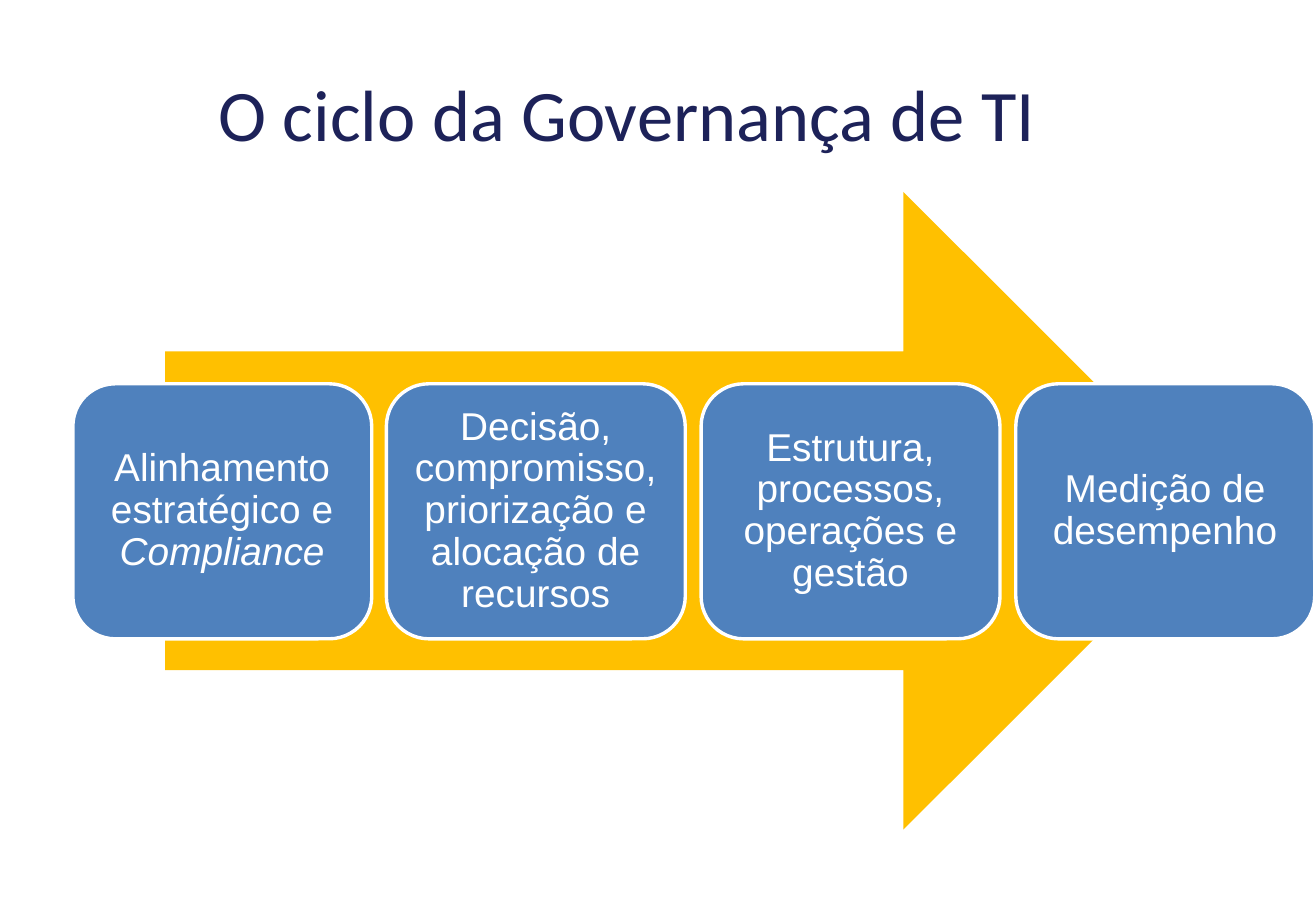
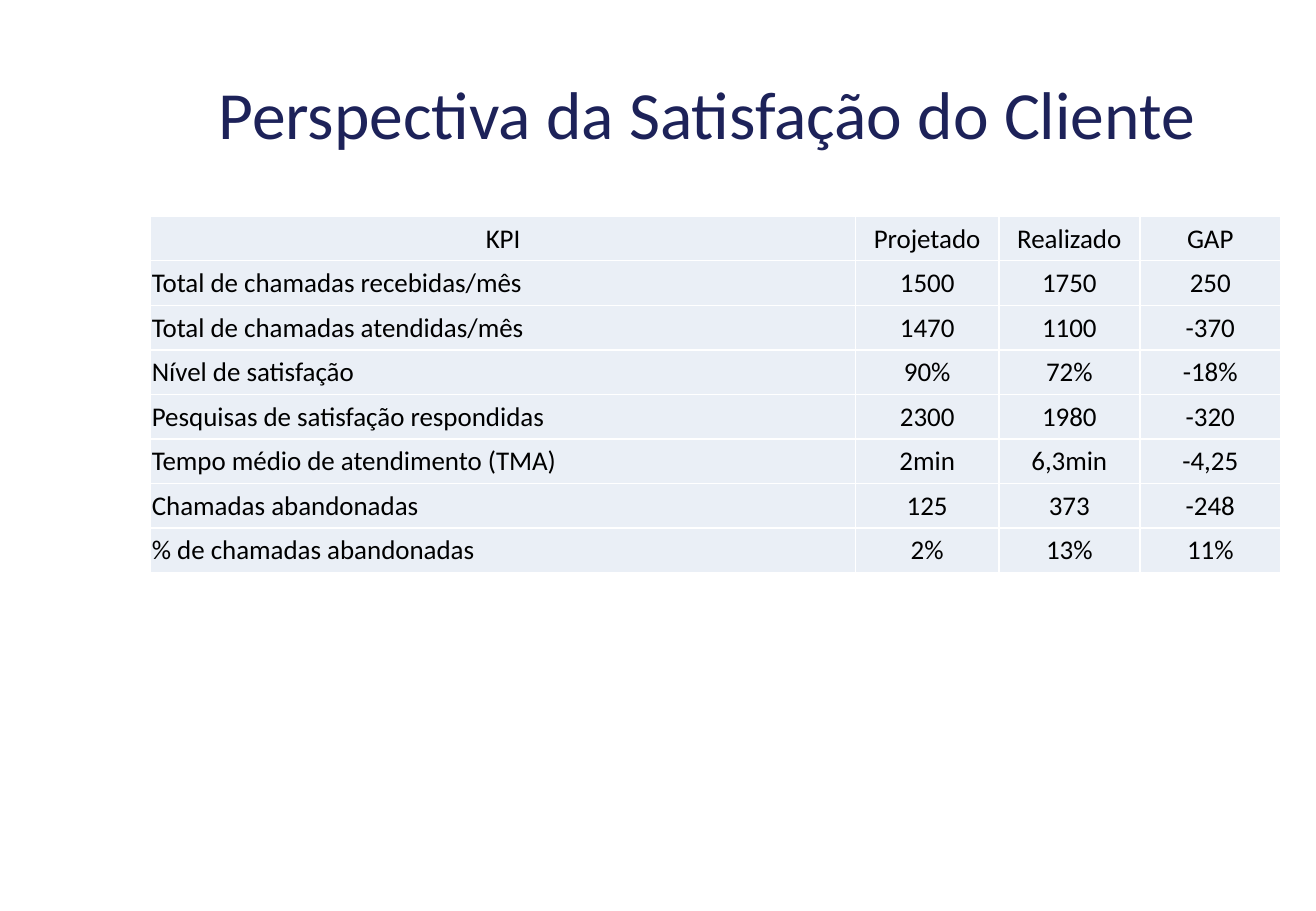
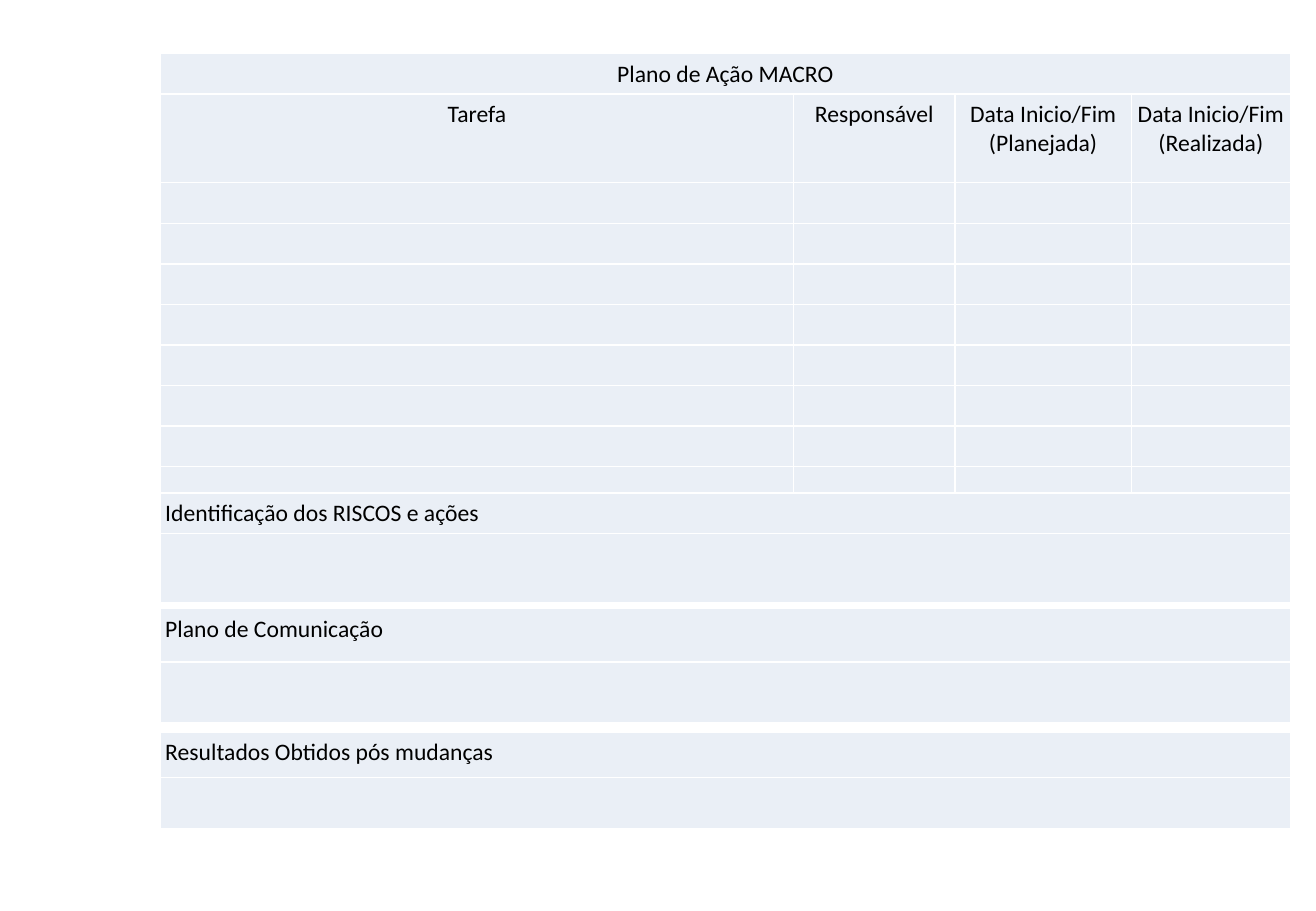
import pptx
import pptx.dml.color
import pptx.enum.shapes
import pptx.enum.text
import pptx.oxml
import pptx.oxml.ns
import pptx.util

PX = 9144  # EMU in one px, 100 px to the inch
NAVY, AMBER, BLUE = "1D2259", "FFC000", "4F81BD"
PALE, WHITE, BLACK = "EAEFF6", "FFFFFF", "000000"
BODY_FONT, BOX_FONT = "Calibri", "Arial"
BORDER_EMU = 12192
TABLE_WIDTH = 930

SHAPE = pptx.enum.shapes.MSO_SHAPE
ALIGN = pptx.enum.text.PP_ALIGN
MIDDLE = pptx.enum.text.MSO_ANCHOR.MIDDLE

STAGES = [
    [("Alinhamento estratégico e ", False), ("Compliance", True)],
    [("Decisão, compromisso, priorização e alocação de recursos", False)],
    [("Estrutura, processos, operações e gestão", False)],
    [("Medição de desempenho", False)],
]

KPIS = [
    ["KPI", "Projetado", "Realizado", "GAP"],
    ["Total de chamadas recebidas/mês", "1500", "1750", "250"],
    ["Total de chamadas atendidas/mês", "1470", "1100", "-370"],
    ["Nível de satisfação", "90%", "72%", "-18%"],
    ["Pesquisas de satisfação respondidas", "2300", "1980", "-320"],
    ["Tempo médio de atendimento (TMA)", "2min", "6,3min", "-4,25"],
    ["Chamadas abandonadas", "125", "373", "-248"],
    ["% de chamadas abandonadas", "2%", "13%", "11%"],
]

BLANK_TASKS = 8
ACTION_PLAN = [
    ["Plano de Ação MACRO", "", "", ""],
    ["Tarefa", "Responsável", "Data Inicio/Fim\n(Planejada)", "Data Inicio/Fim\n(Realizada)"],
] + [[""] * 4] * BLANK_TASKS

# heading, top, row heights
PLAN_SECTIONS = [
    ("Identificação dos RISCOS e ações", 406, [30, 57]),
    ("Plano de Comunicação", 501, [44, 50]),
    ("Resultados Obtidos pós mudanças", 603, [37, 42]),
]


def px(*lengths):
    return [pptx.util.Emu(length * PX) for length in lengths]


def rgb(color):
    return pptx.dml.color.RGBColor.from_string(color)


def add_run(paragraph, text, size, font, color, italic=False):
    run = paragraph.add_run()
    run.text = text
    run.font.size = pptx.util.Pt(size)
    run.font.name = font
    run.font.italic = italic
    run.font.color.rgb = rgb(color)


def set_insets(frame, side, vertical):
    frame.margin_left = frame.margin_right = px(side)[0]
    frame.margin_top = frame.margin_bottom = px(vertical)[0]


def add_title(slide, text, size):
    frame = slide.shapes.add_textbox(*px(170, 30, 888, 125)).text_frame
    frame.word_wrap = True
    frame.vertical_anchor = MIDDLE
    set_insets(frame, 10, 5)
    add_run(frame.paragraphs[0], text, size, BODY_FONT, NAVY)


def add_filled_shape(slide, preset, box, fill, outline=None):
    shape = slide.shapes.add_shape(preset, *px(*box))
    shape.shadow.inherit = False
    shape.fill.solid()
    shape.fill.fore_color.rgb = rgb(fill)
    if outline:
        shape.line.color.rgb = rgb(outline)
        shape.line.width = pptx.util.Pt(2)
    else:
        shape.line.fill.background()
    return shape


def add_stage(slide, left, pieces):
    box = add_filled_shape(slide, SHAPE.ROUNDED_RECTANGLE, (left, 316, 246, 210), BLUE, WHITE)
    frame = box.text_frame
    frame.word_wrap = True
    frame.vertical_anchor = MIDDLE
    set_insets(frame, 10, 10)
    paragraph = frame.paragraphs[0]
    paragraph.alignment = ALIGN.CENTER
    paragraph.line_spacing = 0.9
    for text, italic in pieces:
        add_run(paragraph, text, 23, BOX_FONT, WHITE, italic)


def paint_cell(cell):
    """Give a cell white borders on all sides and the pale fill."""
    properties = cell._tc.get_or_add_tcPr()
    for side in ("lnL", "lnR", "lnT", "lnB"):
        properties.append(pptx.oxml.parse_xml(
            f'<a:{side} {pptx.oxml.ns.nsdecls("a")} w="{BORDER_EMU}">'
            f'<a:solidFill><a:srgbClr val="{WHITE}"/></a:solidFill></a:{side}>'))
    cell.fill.solid()
    cell.fill.fore_color.rgb = rgb(PALE)


def write_cell(cell, text, size, alignment, side_inset):
    set_insets(cell, side_inset, 5)
    frame = cell.text_frame
    for number, line in enumerate(text.split("\n")):
        paragraph = frame.add_paragraph() if number else frame.paragraphs[0]
        paragraph.alignment = alignment
        if line:
            add_run(paragraph, line, size, BODY_FONT, BLACK)
        else:
            paragraph._p.get_or_add_endParaRPr().set("sz", str(size * 100))


def add_grid(slide, left, top, widths, heights, rows, size, side_inset, align_at):
    """Draw a table; align_at(row, column) gives the alignment of a cell."""
    table = slide.shapes.add_table(
        len(heights), len(widths), *px(left, top, sum(widths), sum(heights))).table
    table.first_row = table.horz_banding = False
    for column, width in zip(table.columns, px(*widths)):
        column.width = width
    for row, height in zip(table.rows, px(*heights)):
        row.height = height
    for r, texts in enumerate(rows):
        for c, text in enumerate(texts):
            cell = table.cell(r, c)
            paint_cell(cell)
            write_cell(cell, text, size, align_at(r, c), side_inset)
    return table


def build_cycle(slide):
    add_title(slide, "O ciclo da Governança de TI", 43)
    add_filled_shape(slide, SHAPE.RIGHT_ARROW, (136, 158, 870, 525), AMBER)
    first, last = 60, 836
    for index, pieces in enumerate(STAGES):
        add_stage(slide, first + index * (last - first) // (len(STAGES) - 1), pieces)


def build_satisfaction(slide):
    add_title(slide, "Perspectiva da Satisfação do Cliente", 40)
    add_grid(slide, 124, 178, [580, 118, 116, 116], [35] * len(KPIS), KPIS, 16, 1,
             lambda r, c: ALIGN.LEFT if r and c == 0 else ALIGN.CENTER)


def build_action_plan(slide):
    left = 132
    plan = add_grid(slide, left, 44, [521, 133, 145, 131], [30, 73] + [30] * BLANK_TASKS,
                    ACTION_PLAN, 14, 4, lambda r, c: ALIGN.CENTER)
    plan.cell(0, 0).merge(plan.cell(0, 3))
    for heading, top, heights in PLAN_SECTIONS:
        add_grid(slide, left, top, [TABLE_WIDTH], heights, [[heading], [""]], 14, 4,
                 lambda r, c: ALIGN.LEFT)


def main():
    deck = pptx.Presentation()
    deck.slide_width, deck.slide_height = px(1083, 750)
    blank = deck.slide_layouts[6]
    for build in (build_cycle, build_satisfaction, build_action_plan):
        build(deck.slides.add_slide(blank))
    deck.save("out.pptx")


if __name__ == "__main__":
    main()
